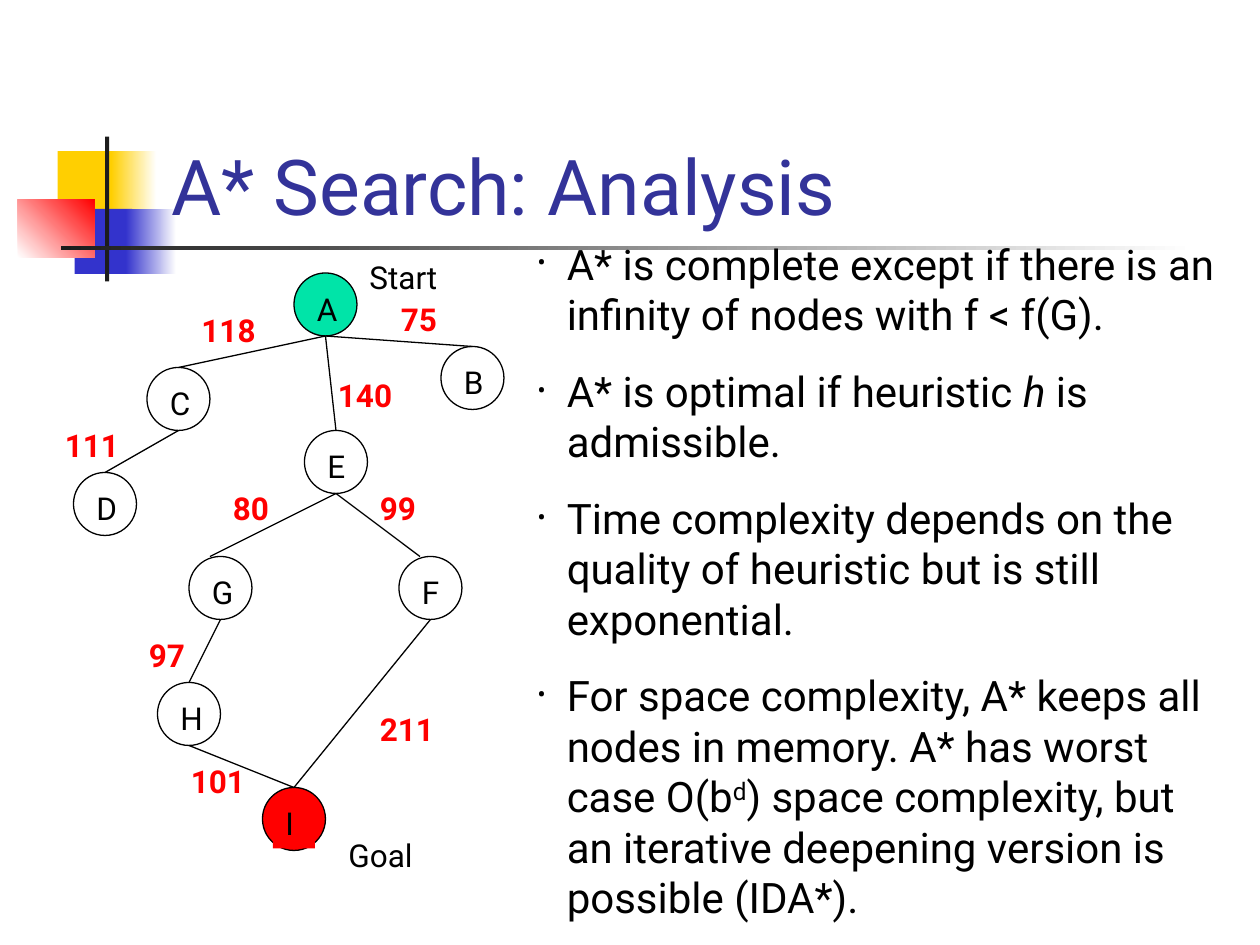
from lxml import etree
from pptx import Presentation
from pptx.dml.color import RGBColor
from pptx.enum.shapes import MSO_CONNECTOR, MSO_SHAPE
from pptx.enum.text import MSO_ANCHOR, MSO_AUTO_SIZE, PP_ALIGN
from pptx.oxml.ns import qn
from pptx.util import Pt

PX = 7620  # EMU per px, 120 px to the inch
FONT = "Roboto"
NODE_SIZE = 60
RECT, OVAL = MSO_SHAPE.RECTANGLE, MSO_SHAPE.OVAL
STRAIGHT = MSO_CONNECTOR.STRAIGHT
LEFT, TOP, BOTTOM = PP_ALIGN.LEFT, MSO_ANCHOR.TOP, MSO_ANCHOR.BOTTOM
NO_FIT = MSO_AUTO_SIZE.NONE

BLACK = RGBColor(0, 0, 0)
WHITE = RGBColor(255, 255, 255)
RED = RGBColor(255, 0, 0)
GREEN = RGBColor(0x00, 0xE4, 0xA8)
YELLOW = RGBColor(0xFF, 0xCF, 0x01)
BLUE = RGBColor(0x33, 0x33, 0xCC)
NAVY = RGBColor(0x33, 0x33, 0x99)
CHARCOAL = RGBColor(0x1C, 0x1C, 0x1C)

# Rectangles of the title ornament: x, y, w, h, colours, gradient angle
ORNAMENT = [
    (41, 14, 58, 62, [YELLOW], 0),
    (92, 14, 43, 62, [YELLOW, WHITE], 0),
    (57, 69, 55, 62, [BLUE], 0),
    (106, 69, 48, 62, [BLUE, WHITE], 0),
    (3, 60, 73, 55, [WHITE, RED], 45),
    (86, 0, 4, 138, [CHARCOAL], 0),
    (44, 104, 1080, 4, [CHARCOAL, WHITE], 0),
]
# Top left corner of each node, relative to the tree
NODES = {
    "A": (230, 20), "B": (370, 90), "D": (20, 210), "C": (90, 110),
    "E": (240, 170), "F": (330, 290), "I": (200, 510), "G": (130, 290),
    "H": (100, 410),
}
NODE_FILLS = {"A": GREEN, "I": RED}
# Parent, child, sideways shift of the lower end
EDGES = [
    ("E", "F", -10), ("F", "I", 0), ("E", "G", -10), ("G", "H", 0),
    ("H", "I", 0), ("A", "B", 0), ("A", "E", 0), ("A", "C", 0), ("C", "D", 0),
]
COSTS = [
    ("99", 300, 220, 80), ("211", 300, 430, 100), ("80", 160, 220, 80),
    ("97", 80, 360, 80), ("101", 120, 480, 110), ("75", 320, 40, 80),
    ("118", 130, 50, 100), ("111", 0, 160, 100), ("140", 260, 112, 100),
]
CAPTIONS = [("Start", 290, 0, 160), ("Goal", 270, 550, 160)]
# Bullets as runs of text and style
BULLETS = [
    [("A* is complete except if there is an infinity of nodes with f < f(G).", "")],
    [("A* is optimal if heuristic ", ""), ("h", "italic"), (" is admissible.", "")],
    [("Time complexity depends on the quality of heuristic but is still exponential.", "")],
    [("For space complexity, A* keeps all nodes in memory. A* has worst case O(b", ""),
     ("d", "super"),
     (") space complexity, but an iterative deepening version is possible (IDA*).", "")],
]


def px(*lengths):
    return [length * PX for length in lengths]


def add_span(para, text, size, color, bold=False):
    span = para.add_run()
    span.text = text
    span.font.name = FONT
    span.font.size = Pt(size)
    span.font.color.rgb = color
    span.font.bold = bold
    return span


def add_filled(shapes, kind, x, y, w, h, colors=(), angle=0):
    shape = shapes.add_shape(kind, *px(x, y, w, h))
    shape.shadow.inherit = False
    shape.line.fill.background()
    if len(colors) > 1:
        shape.fill.gradient()
        shape.fill.gradient_angle = angle
        for stop, color in zip(shape.fill.gradient_stops, colors):
            stop.color.rgb = color
    elif colors:
        shape.fill.solid()
        shape.fill.fore_color.rgb = colors[0]
    else:
        shape.fill.background()
    return shape


def add_label(shapes, text, x, y, w, color=BLACK, bold=False):
    box = shapes.add_textbox(*px(x, y, w, 48))
    box.text_frame.word_wrap = True
    add_span(box.text_frame.paragraphs[0], text, 18, color, bold)
    return box


def add_ornament(page, left, top):
    for x, y, w, h, colors, angle in ORNAMENT:
        add_filled(page.shapes, RECT, left + x, top + y, w, h, colors, angle)


def add_title(page, x, y, w, h):
    title = page.shapes.title
    title.left, title.top, title.width, title.height = px(x, y, w, h)
    title.element.getparent().append(title.element)  # in front of the ornament
    frame = title.text_frame
    frame.auto_size = NO_FIT
    frame.vertical_anchor = BOTTOM
    frame.margin_bottom = 0
    frame.paragraphs[0].alignment = LEFT
    add_span(frame.paragraphs[0], "A* Search: Analysis", 44, NAVY)


def add_node(page, name, x, y):
    group = page.shapes.add_group_shape()
    fills = [NODE_FILLS[name]] if name in NODE_FILLS else []
    circle = add_filled(group.shapes, OVAL, x, y, NODE_SIZE, NODE_SIZE, fills)
    circle.line.color.rgb = BLACK
    circle.line.width = Pt(0.75)
    letter = add_label(group.shapes, name, x + 10, y + 10, 40)
    if name == "I":
        letter.fill.solid()
        letter.fill.fore_color.rgb = RED


def add_edge(page, x1, y1, x2, y2):
    edge = page.shapes.add_connector(STRAIGHT, *px(x1, y1, x2, y2))
    edge.line.color.rgb = BLACK
    edge.line.width = Pt(0.75)
    etree.SubElement(edge.element.spPr, qn("a:effectLst"))


def add_tree(page, left, top):
    for name, (x, y) in NODES.items():
        add_node(page, name, left + x, top + y)
    # Edges run from the foot of the parent to the head of the child
    half = NODE_SIZE // 2
    for parent, child, shift in EDGES:
        (x1, y1), (x2, y2) = NODES[parent], NODES[child]
        add_edge(page, left + x1 + half, top + y1 + NODE_SIZE,
                 left + x2 + half + shift, top + y2)
    for text, x, y, w in COSTS:
        add_label(page.shapes, text, left + x, top + y, w, RED, True)
    for text, x, y, w in CAPTIONS:
        add_label(page.shapes, text, left + x, top + y, w)


def add_bullet(para, indent):
    props = para._p.get_or_add_pPr()
    props.set("marL", str(indent * PX))
    props.set("indent", str(-indent * PX))
    color = etree.SubElement(props, qn("a:buClr"))
    etree.SubElement(color, qn("a:srgbClr"), val=str(BLACK))
    etree.SubElement(props, qn("a:buSzPct"), val="60000")
    etree.SubElement(props, qn("a:buFont"), typeface=FONT)
    etree.SubElement(props, qn("a:buChar"), char="•")


def add_analysis(page, x, y, w, h):
    frame = page.shapes.add_textbox(*px(x, y, w, h)).text_frame
    frame.word_wrap = True
    frame.vertical_anchor = TOP
    for index, spans in enumerate(BULLETS):
        para = frame.add_paragraph() if index else frame.paragraphs[0]
        if index:
            para.space_before = Pt(15)
        add_bullet(para, 28)
        for text, style in spans:
            span = add_span(para, text, 24, BLACK)
            if style == "italic":
                span.font.italic = True
            elif style == "super":
                span.font._element.set("baseline", "30000")


def main():
    deck = Presentation()
    deck.slide_width, deck.slide_height = px(1200, 900)
    page = deck.slides.add_slide(deck.slide_layouts[5])
    add_ornament(page, 14, 130)
    add_title(page, 151, 28, 1022, 192)
    add_tree(page, 50, 240)
    add_analysis(page, 500, 221, 670, 664)
    deck.save("out.pptx")


if __name__ == "__main__":
    main()
